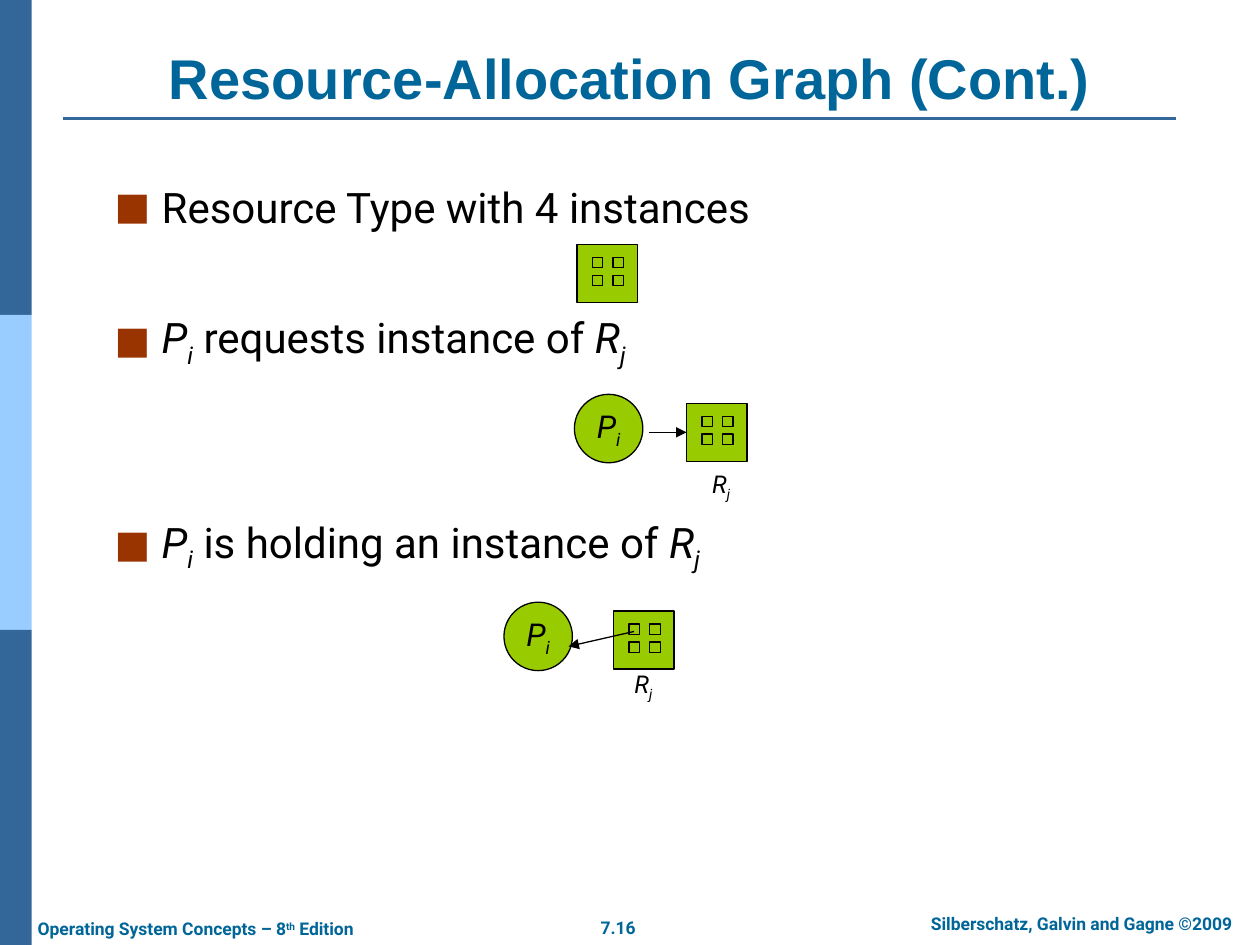
"""Build the resource-allocation graph slide."""
from dataclasses import dataclass
from lxml import etree
from pptx import Presentation
from pptx.dml.color import RGBColor
from pptx.enum.shapes import MSO_CONNECTOR, MSO_SHAPE
from pptx.enum.text import MSO_ANCHOR, PP_ALIGN
from pptx.oxml.ns import qn
from pptx.util import Cm, Pt

RECT, OVAL = MSO_SHAPE.RECTANGLE, MSO_SHAPE.OVAL
STRAIGHT = MSO_CONNECTOR.STRAIGHT
LEFT, CENTER = PP_ALIGN.LEFT, PP_ALIGN.CENTER
TOP, MIDDLE, BOTTOM = MSO_ANCHOR.TOP, MSO_ANCHOR.MIDDLE, MSO_ANCHOR.BOTTOM
LEFT_SIDE = 1


@dataclass(frozen=True)
class Theme:
    navy: str = "336699"
    sky: str = "99CCFF"
    heading: str = "006699"
    node: str = "99CC00"
    ink: str = "000000"
    bullet: str = "993300"
    title_font: str = "Arial"
    font: str = "Roboto"
    title_size: int = 32
    body_size: int = 24
    node_size: int = 18
    label_size: int = 14
    footer_size: int = 10
    rule_width: float = 1.5
    outline_width: float = 0.75


T = Theme()


def add_run(p, text, size=T.body_size, color=T.ink, font=T.font,
            bold=False, italic=False, baseline=0):
    r = p.add_run()
    r.text = text
    f = r.font
    f.size, f.name, f.bold, f.italic = Pt(size), font, bold, italic
    f.color.rgb = RGBColor.from_string(color)
    if baseline:
        r._r.get_or_add_rPr().set("baseline", str(baseline * 1000))


def add_symbol(p, letter, index, **fmt):
    add_run(p, letter, italic=True, **fmt)
    add_run(p, index, italic=True, baseline=-25, **fmt)


def add_box(s, x, y, w, h, align=LEFT, anchor=TOP, wrap=False):
    tf = s.shapes.add_textbox(Cm(x), Cm(y), Cm(w), Cm(h)).text_frame
    tf.word_wrap, tf.vertical_anchor = wrap, anchor
    tf.paragraphs[0].alignment = align
    return tf


def add_shape(shapes, kind, x, y, w, h, fill, outline=True):
    sp = shapes.add_shape(kind, Cm(x), Cm(y), Cm(w), Cm(h))
    sp.shadow.inherit = False
    sp.fill.solid()
    sp.fill.fore_color.rgb = RGBColor.from_string(fill)
    if outline:
        sp.line.color.rgb = RGBColor.from_string(T.ink)
        sp.line.width = Pt(T.outline_width)
    else:
        sp.line.fill.background()
    return sp


def add_line(s, x1, y1, x2, y2, color=T.ink, width=T.outline_width, arrow=True):
    line = s.shapes.add_connector(STRAIGHT, x1, y1, x2, y2)
    line.line.color.rgb = RGBColor.from_string(color)
    line.line.width = Pt(width)
    if arrow:
        etree.SubElement(line.line._get_or_add_ln(), qn("a:tailEnd"), type="triangle")
    etree.SubElement(line._element.spPr, qn("a:effectLst"))
    return line


def add_resource(s, x, y):
    group = s.shapes.add_group_shape()
    box = add_shape(group.shapes, RECT, x, y, 1.22, 1.17, T.node)
    for row in range(2):
        for col in range(2):
            add_shape(group.shapes, RECT, x + 0.31 + 0.42 * col,
                      y + 0.26 + 0.36 * row, 0.21, 0.21, T.node)
    return box


def add_process(s, x, y):
    tf = add_shape(s.shapes, OVAL, x, y, 1.38, 1.38, T.node).text_frame
    tf.word_wrap, tf.vertical_anchor = False, MIDDLE
    tf.paragraphs[0].alignment = CENTER
    add_symbol(tf.paragraphs[0], "P", "i", size=T.node_size)


def add_resource_label(s, x, y):
    tf = add_box(s, x, y, 0.94, 0.84, align=CENTER, anchor=MIDDLE)
    add_symbol(tf.paragraphs[0], "R", "j", size=T.label_size)


def add_bullet(p):
    pPr = p._p.get_or_add_pPr()
    pPr.set("marL", str(Cm(0.95)))
    pPr.set("indent", str(-Cm(0.95)))
    color = etree.SubElement(pPr, qn("a:buClr"))
    etree.SubElement(color, qn("a:srgbClr"), val=T.bullet)
    etree.SubElement(pPr, qn("a:buSzPct"), val="90000")
    etree.SubElement(pPr, qn("a:buFont"), typeface=T.font)
    etree.SubElement(pPr, qn("a:buChar"), char="■")


def add_frame(s):
    for i, color in enumerate((T.navy, T.sky, T.navy)):
        add_shape(s.shapes, RECT, 0, 6.35 * i, 0.64, 6.35, color, outline=False)
    add_line(s, Cm(1.27), Cm(2.39), Cm(23.7), Cm(2.39), T.navy, T.rule_width, arrow=False)
    fmt = {"size": T.footer_size, "color": T.heading, "bold": True}
    tf = add_box(s, 11.84, 18.36, 1.24, 0.69, align=CENTER)
    add_run(tf.paragraphs[0], "7.16", **fmt)
    tf = add_box(s, 18.03, 18.29, 7.54, 0.69, align=CENTER, wrap=True)
    add_run(tf.paragraphs[0], "Silberschatz, Galvin and Gagne ©2009", **fmt)
    p = add_box(s, 0.51, 18.39, 7.32, 0.69).paragraphs[0]
    add_run(p, "Operating System Concepts – 8", **fmt)
    add_run(p, "th", baseline=30, **fmt)
    add_run(p, " Edition", **fmt)


def add_body(s):
    tf = add_box(s, 2.06, 2.13, 22.86, 14.73, wrap=True)
    tf.margin_top = Cm(1.52)
    first = tf.paragraphs[0]
    add_bullet(first)
    add_run(first, "Resource Type with 4 instances")
    for text, gap in ((" requests instance of ", 46), (" is holding an instance of ", 84)):
        p = tf.add_paragraph()
        add_bullet(p)
        p.space_before = Pt(gap)
        add_symbol(p, "P", "i")
        add_run(p, text)
        add_symbol(p, "R", "j")


def add_graphs(s):
    add_resource(s, 11.63, 4.93)

    add_process(s, 11.58, 7.95)
    requested = add_resource(s, 13.84, 8.13)
    y = requested.top + requested.height // 2
    add_line(s, Cm(13.08), y, requested.left, y).end_connect(requested, LEFT_SIDE)
    add_resource_label(s, 14.07, 9.37)

    add_process(s, 10.16, 12.14)
    add_resource(s, 12.37, 12.32)
    add_line(s, Cm(12.78), Cm(12.73), Cm(11.46), Cm(13.03))
    add_resource_label(s, 12.5, 13.41)


def main():
    prs = Presentation()
    prs.slide_width, prs.slide_height = Cm(25.4), Cm(19.05)
    s = prs.slides.add_slide(prs.slide_layouts[6])
    add_frame(s)
    tf = add_box(s, 1.27, 0.76, 22.86, 1.6, align=CENTER, anchor=BOTTOM, wrap=True)
    add_run(tf.paragraphs[0], "Resource-Allocation Graph (Cont.)", size=T.title_size,
            color=T.heading, font=T.title_font, bold=True)
    add_body(s)
    add_graphs(s)
    prs.save("out.pptx")


if __name__ == "__main__":
    main()
